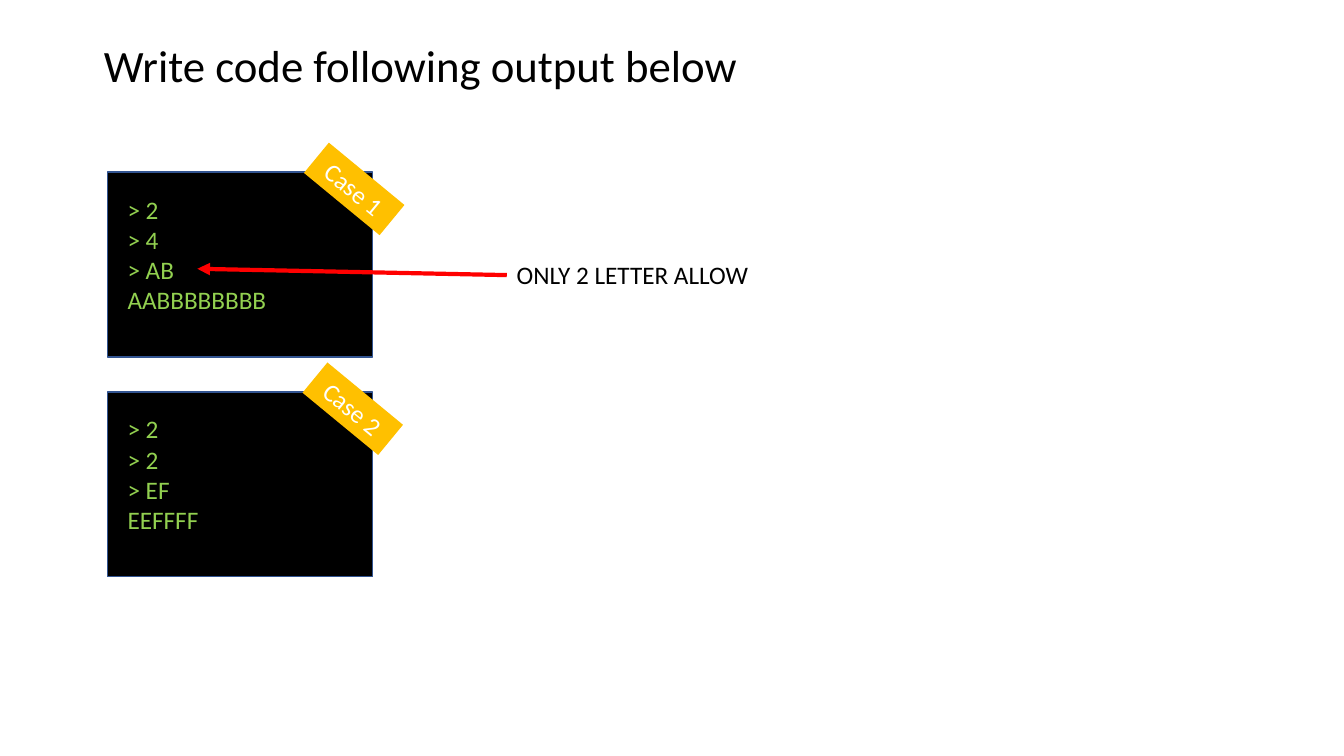
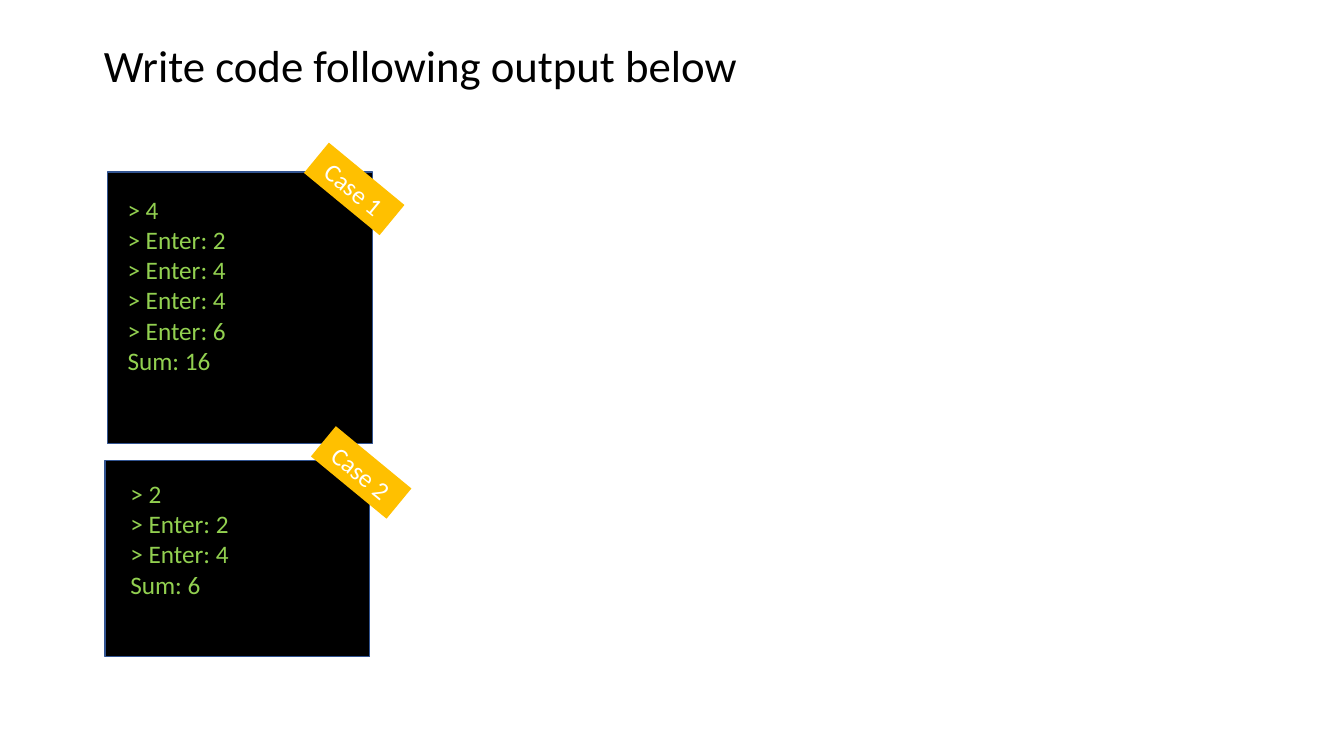
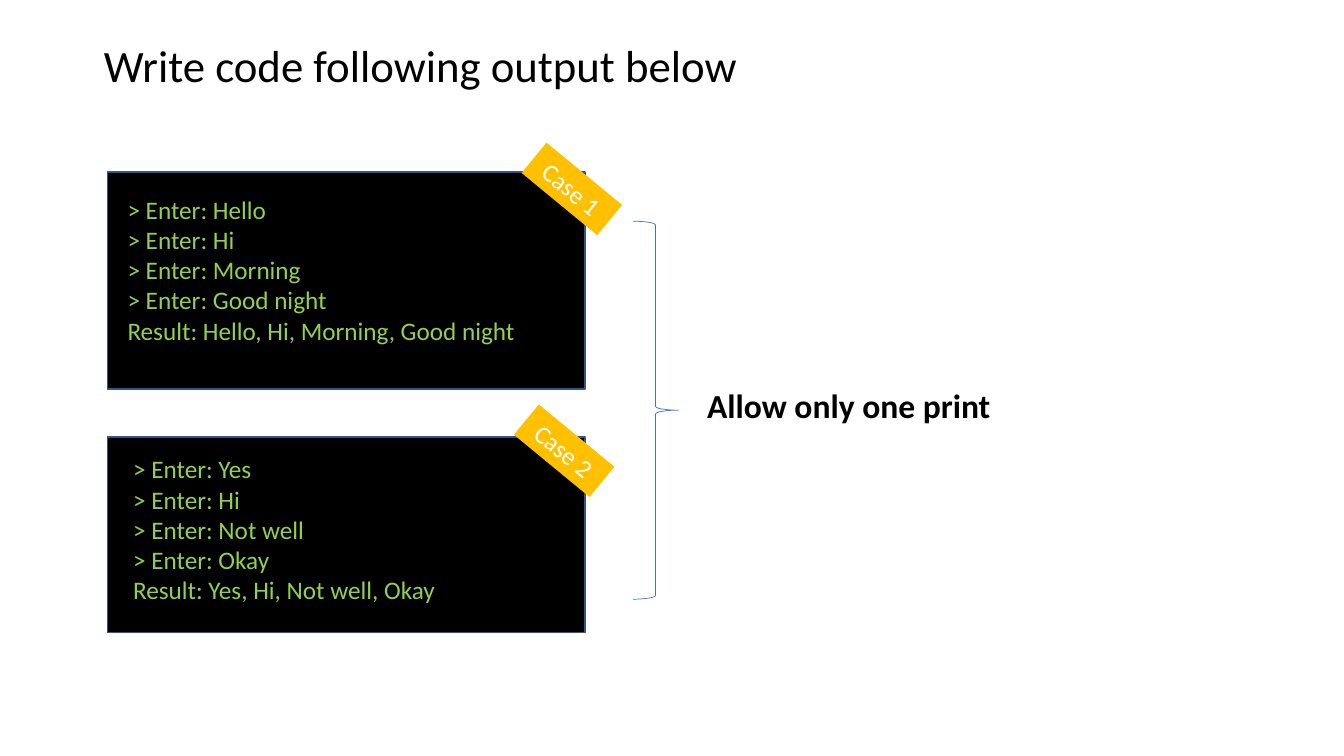
from lxml.etree import SubElement
from pptx import Presentation
from pptx.dml.color import RGBColor
from pptx.enum.shapes import MSO_CONNECTOR, MSO_SHAPE
from pptx.enum.text import MSO_ANCHOR, MSO_AUTO_SIZE, PP_ALIGN
from pptx.oxml.ns import qn
from pptx.util import Pt

BLACK, WHITE, GREEN = "000000", "FFFFFF", "92D050"
AMBER, NAVY, BLUE, RED = "FFC000", "325491", "4472C4", "FF0000"


def color(value):
    return RGBColor.from_string(value)


class Deck:
    """Shared style and the slide being built."""

    frame = dict(word_wrap=True, auto_size=MSO_AUTO_SIZE.NONE,
                 vertical_anchor=MSO_ANCHOR.TOP)
    tag_size = (70, 28)

    def __init__(self):
        self.prs = Presentation()
        self.prs.slide_width, self.prs.slide_height = Pt(960), Pt(540)

    def slide(self, title):
        self.s = self.prs.slides.add_slide(self.prs.slide_layouts[5])
        sp = self.s.shapes.title
        place = dict(left=67, top=23, width=500, height=46)
        for name, value in place.items():
            setattr(sp, name, Pt(value))
        self.fill_text(sp, [title], size=32)

    def fill_text(self, sp, lines, size=18, fill=BLACK, bold=False,
                  align=PP_ALIGN.LEFT, **frame):
        tf = sp.text_frame
        for name, value in {**self.frame, **frame}.items():
            setattr(tf, name, value)
        tf.text = "\n".join(lines)
        font = dict(name="Calibri", size=Pt(size), bold=bold)
        for p in tf.paragraphs:
            p.alignment = align
            r = p.runs[0]
            for name, value in font.items():
                setattr(r.font, name, value)
            r.font.color.rgb = color(fill)

    def text(self, x, y, w, h, lines, **style):
        sp = self.s.shapes.add_textbox(Pt(x), Pt(y), Pt(w), Pt(h))
        self.fill_text(sp, lines, **style)

    def shape(self, kind, x, y, w, h, fill=None, line=None, weight=1):
        sp = self.s.shapes.add_shape(kind, Pt(x), Pt(y), Pt(w), Pt(h))
        sp.shadow.inherit = False
        if fill:
            sp.fill.solid()
            sp.fill.fore_color.rgb = color(fill)
        else:
            sp.fill.background()
        if line:
            sp.line.color.rgb = color(line)
            sp.line.width = Pt(weight)
        else:
            sp.line.fill.background()
        return sp

    def case(self, number, box, text_at, tag_at, lines):
        x, y, w, h = box
        tx, ty = text_at
        self.shape(MSO_SHAPE.RECTANGLE, *box, fill=BLACK, line=NAVY)
        self.text(tx, ty, x + w - tx, y + h - ty, lines, fill=GREEN)
        tag = self.shape(MSO_SHAPE.RECTANGLE, *tag_at, *self.tag_size, fill=AMBER)
        tag.rotation = 39.5
        self.fill_text(tag, [f"Case {number}"], fill=WHITE,
                       align=PP_ALIGN.CENTER, vertical_anchor=MSO_ANCHOR.MIDDLE)

    def brace(self, x, y, w, h):
        self.shape(MSO_SHAPE.RIGHT_BRACE, x, y, w, h, line=BLUE, weight=0.5)

    def arrow(self, x1, y1, x2, y2):
        c = self.s.shapes.add_connector(MSO_CONNECTOR.STRAIGHT,
                                        Pt(x1), Pt(y1), Pt(x2), Pt(y2))
        c.line.color.rgb = color(RED)
        c.line.width = Pt(3)
        props = c.element.spPr
        SubElement(props.find(qn("a:ln")), qn("a:tailEnd"), type="triangle")
        SubElement(props, qn("a:effectLst"))


def main():
    title = "Write code following output below"
    deck = Deck()

    deck.slide(title)
    deck.case(1, (77, 123, 189, 132), (84, 135), (218, 121),
              ["> 2", "> 4", "> AB", "AABBBBBBBB"])
    deck.case(2, (77, 280, 189, 132), (84, 292), (217, 278),
              ["> 2", "> 2", "> EF", "EEFFFF"])
    deck.text(362, 182, 200, 29, ["ONLY 2 LETTER ALLOW"])
    deck.arrow(362, 196.5, 141, 192)

    deck.slide(title)
    deck.case(1, (77, 123, 189, 194), (84, 135), (218, 121),
              ["> 4", "> Enter: 2", "> Enter: 4", "> Enter: 4", "> Enter: 6",
               "Sum: 16"])
    deck.case(2, (75, 329, 189, 140), (86, 338), (223, 323.5),
              ["> 2", "> Enter: 2", "> Enter: 4", "Sum: 6"])

    deck.slide(title)
    deck.case(1, (77, 123, 341, 155), (84, 135), (373.5, 121),
              ["> Enter: Hello", "> Enter: Hi", "> Enter: Morning",
               "> Enter: Good night", "Result: Hello, Hi, Morning, Good night"])
    deck.case(2, (77, 312, 341, 140), (88, 320.5), (368, 308),
              ["> Enter: Yes", "> Enter: Hi", "> Enter: Not well",
               "> Enter: Okay", "Result: Yes, Hi, Not well, Okay"])
    deck.brace(452, 158, 32.5, 270)
    deck.text(498, 271.5, 230, 36, ["Allow only one print"], size=24, bold=True)

    deck.prs.save("out.pptx")


if __name__ == "__main__":
    main()
